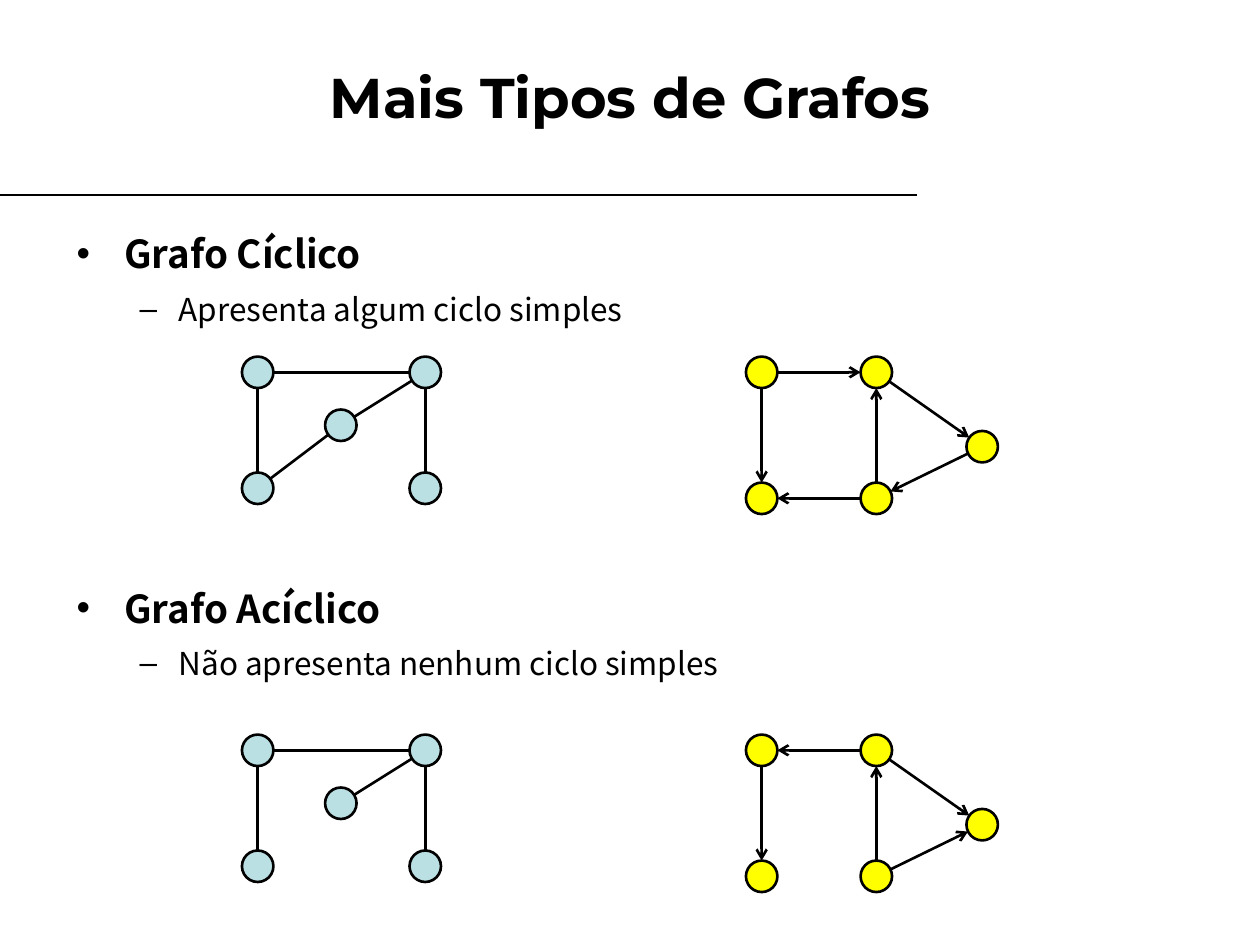
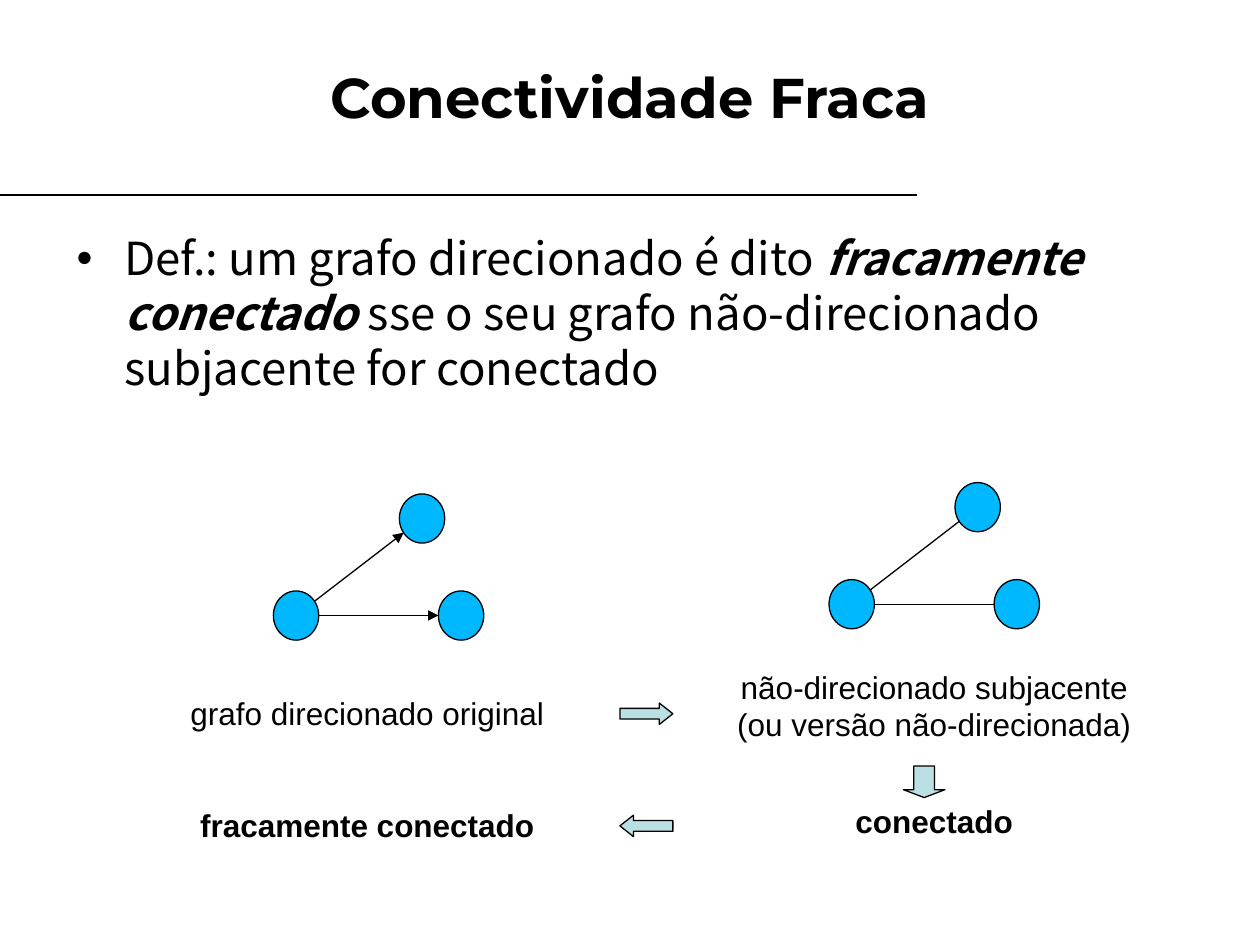
import math
from dataclasses import dataclass

import pptx
import pptx.chart.data
import pptx.dml.color
import pptx.enum.shapes
import pptx.enum.text
import pptx.oxml
import pptx.oxml.ns
import pptx.util
from lxml import etree

Inches = pptx.util.Inches
Pt = pptx.util.Pt
SHAPE = pptx.enum.shapes.MSO_SHAPE
ALIGN = pptx.enum.text.PP_ALIGN
ANCHOR = pptx.enum.text.MSO_ANCHOR
qn = pptx.oxml.ns.qn


@dataclass(frozen=True)
class Theme:
    """Colours, fonts and type sizes of the deck."""
    ink: str = "000000"
    pale: str = "BBE0E3"
    yellow: str = "FFFF00"
    sky: str = "00B8FF"
    head: str = "Montserrat"
    body: str = "Noto Sans CJK JP"
    label: str = "Arial"
    title: int = 32
    lead: int = 26
    topic: int = 22
    note: int = 18
    thick: float = 1.5
    thin: float = 0.75
    leading: float = 1.2


@dataclass(frozen=True)
class Graph:
    """Node corners, node size and drawing style of a graph."""
    nodes: tuple
    size: tuple
    fill: str
    width: float


THEME = Theme()
SMALL = (0.25, 0.25)
OPEN = Graph(((0, 0), (1.33, 0), (0, 0.92), (1.33, 0.92), (0.66, 0.42)),
             SMALL, THEME.pale, THEME.thick)
ARROWED = Graph(((0, 0), (0.91, 0), (0, 1), (0.91, 1), (1.75, 0.59)),
                SMALL, THEME.yellow, THEME.thick)
TRIO = Graph(((0, 0.77), (1.31, 0.77), (1, 0)),
             (0.36, 0.39), THEME.sky, THEME.thin)


def tint(value):
    """Return a colour from its hex code."""
    return pptx.dml.color.RGBColor.from_string(value)


def style(para, font, size, bold=False):
    """Format every run of a paragraph."""
    for run in para.runs:
        run.font.name = font
        run.font.size = Pt(size)
        run.font.bold = bold
        run.font.color.rgb = tint(THEME.ink)


def write(slide, box, text, anchor=ANCHOR.TOP):
    """Add a wrapping text box and return its frame."""
    frame = slide.shapes.add_textbox(*map(Inches, box)).text_frame
    frame.word_wrap = True
    frame.vertical_anchor = anchor
    frame.text = text
    return frame


def bullet(para, mark, left, hang):
    """Give a paragraph a hanging bullet."""
    props = para._p.get_or_add_pPr()
    props.set("marL", str(Inches(left)))
    props.set("indent", str(-Inches(hang)))
    etree.SubElement(props, qn("a:buFont")).set("typeface", THEME.label)
    etree.SubElement(props, qn("a:buChar")).set("char", mark)


def space(para, size, before, after=0.0, ratio=1.0):
    """Set the fixed line height and the gaps of a paragraph."""
    para.line_spacing = Pt(size * THEME.leading * ratio)
    para.space_before = Pt(before)
    para.space_after = Pt(after)


def draw(shapes, kind, box, fill, width):
    """Add a filled and outlined preset shape."""
    shape = shapes.add_shape(kind, *map(Inches, box))
    shape.shadow.inherit = False
    shape.fill.solid()
    shape.fill.fore_color.rgb = tint(fill)
    shape.line.color.rgb = tint(THEME.ink)
    shape.line.width = Pt(width)
    return shape


def link(shapes, start, end, width, tip=None):
    """Add a straight line, with an arrowhead if one is named."""
    line = shapes.add_connector(pptx.enum.shapes.MSO_CONNECTOR.STRAIGHT,
                                *map(Inches, (*start, *end)))
    line.line.color.rgb = tint(THEME.ink)
    line.line.width = Pt(width)
    if tip:
        etree.SubElement(line.line._get_or_add_ln(),
                         qn("a:tailEnd")).set("type", tip)
    etree.SubElement(line._element.spPr, qn("a:effectLst"))


def plot(slide, left, top, graph, edges, tip=None):
    """Draw a graph as a group, its edges ending on the node outlines."""
    shapes = slide.shapes.add_group_shape().shapes
    wide, high = graph.size
    spots = [(left + x + wide / 2, top + y + high / 2) for x, y in graph.nodes]
    for x, y in graph.nodes:
        draw(shapes, SHAPE.OVAL, (left + x, top + y, wide, high),
             graph.fill, graph.width)
    for first, last in edges:
        (ax, ay), (bx, by) = spots[first], spots[last]
        dx, dy = bx - ax, by - ay
        part = 1 / math.hypot(dx / (wide / 2), dy / (high / 2))
        link(shapes, (ax + dx * part, ay + dy * part),
             (bx - dx * part, by - dy * part), graph.width, tip)


def start(deck, title):
    """Add a slide with its title and rule."""
    slide = deck.slides.add_slide(deck.slide_layouts[6])
    link(slide.shapes, (0, 1.55), (7.28, 1.55), 1)
    para = write(slide, (0.5, 0.14, 9, 1.25), title,
                 ANCHOR.MIDDLE).paragraphs[0]
    para.alignment = ALIGN.CENTER
    style(para, THEME.head, THEME.title, True)
    return slide


def topic(slide, box, name, note):
    """Write a bold bullet with a dashed note under it."""
    frame = write(slide, box, name)
    lead, sub = frame.paragraphs[0], frame.add_paragraph()
    sub.text = note
    sub.level = 1
    style(lead, THEME.body, THEME.topic, True)
    style(sub, THEME.body, THEME.note)
    space(lead, THEME.topic, 8.2, 4.1)
    space(sub, THEME.note, 4.5, ratio=0.95)
    bullet(lead, "•", 0.38, 0.38)
    bullet(sub, "–", 0.81, 0.31)


def kinds(deck):
    """Build the slide on cyclic and acyclic graphs."""
    slide = start(deck, "Mais Tipos de Grafos")
    rows = (
        (1.78, 2.83, "Grafo Cíclico", "Apresenta algum ciclo simples",
         ((2, 0), (3, 1), (1, 0), (4, 1), (4, 2)),
         ((1, 4), (0, 2), (3, 2), (3, 1), (0, 1), (4, 3))),
        (4.59, 5.83, "Grafo Acíclico", "Não apresenta nenhum ciclo simples",
         ((2, 0), (3, 1), (1, 0), (4, 1)),
         ((1, 4), (0, 2), (3, 4), (3, 1), (1, 0))),
    )
    for top, base, name, note, plain, aimed in rows:
        topic(slide, (0.51, top, 9, 1), name, note)
        plot(slide, 1.92, base, OPEN, plain)
        plot(slide, 5.92, base, ARROWED, aimed, "arrow")


def define(slide, box):
    """Write the definition with its term stressed."""
    para = write(slide, box, "").paragraphs[0]
    parts = ("Def.: um grafo direcionado é dito ", "fracamente conectado",
             " sse o seu grafo não-direcionado subjacente for conectado")
    for part in parts:
        para.add_run().text = part
    style(para, THEME.body, THEME.lead)
    term = para.runs[1].font
    term.bold = term.italic = True
    space(para, THEME.lead, 9.8, 4.9)
    bullet(para, "•", 0.38, 0.38)


def label(slide, left, top, text, bold=False):
    """Write a centred caption of one or more lines."""
    lines = text.count("\n") + 1
    frame = write(slide, (left, top, 3.83, 0.02 + 0.34 * lines), text)
    for para in frame.paragraphs:
        para.alignment = ALIGN.CENTER
        style(para, THEME.label, THEME.note, bold)
        if lines == 1:
            para.line_spacing = 0.87
            para.space_before = Pt(11.2)


def weak(deck):
    """Build the slide on weak connectivity."""
    slide = start(deck, "Conectividade Fraca")
    define(slide, (0.51, 1.78, 9, 1.6))
    edges = ((0, 1), (0, 2))
    plot(slide, 2.17, 3.92, TRIO, edges, "triangle")
    plot(slide, 6.58, 3.83, TRIO, edges)
    label(slide, 1, 5.5, "grafo direcionado original")
    label(slide, 5.5, 5.25,
          "não-direcionado subjacente\n(ou versão não-direcionada)")
    label(slide, 1, 6.39, "fracamente conectado", True)
    label(slide, 5.5, 6.36, "conectado", True)
    steps = (
        (SHAPE.RIGHT_ARROW, (4.92, 5.58, 0.42, 0.17), 0.63),
        (SHAPE.LEFT_ARROW, (4.92, 6.47, 0.42, 0.17), 0.63),
        (SHAPE.DOWN_ARROW, (7.17, 6.08, 0.33, 0.25), 0.25),
    )
    for kind, box, point in steps:
        arrow = draw(slide.shapes, kind, box, THEME.pale, THEME.thin)
        arrow.adjustments[1] = point


def main():
    """Build and save the deck."""
    deck = pptx.Presentation()
    deck.slide_width, deck.slide_height = Inches(10), Inches(7.5)
    kinds(deck)
    weak(deck)
    deck.save("out.pptx")


if __name__ == "__main__":
    main()
